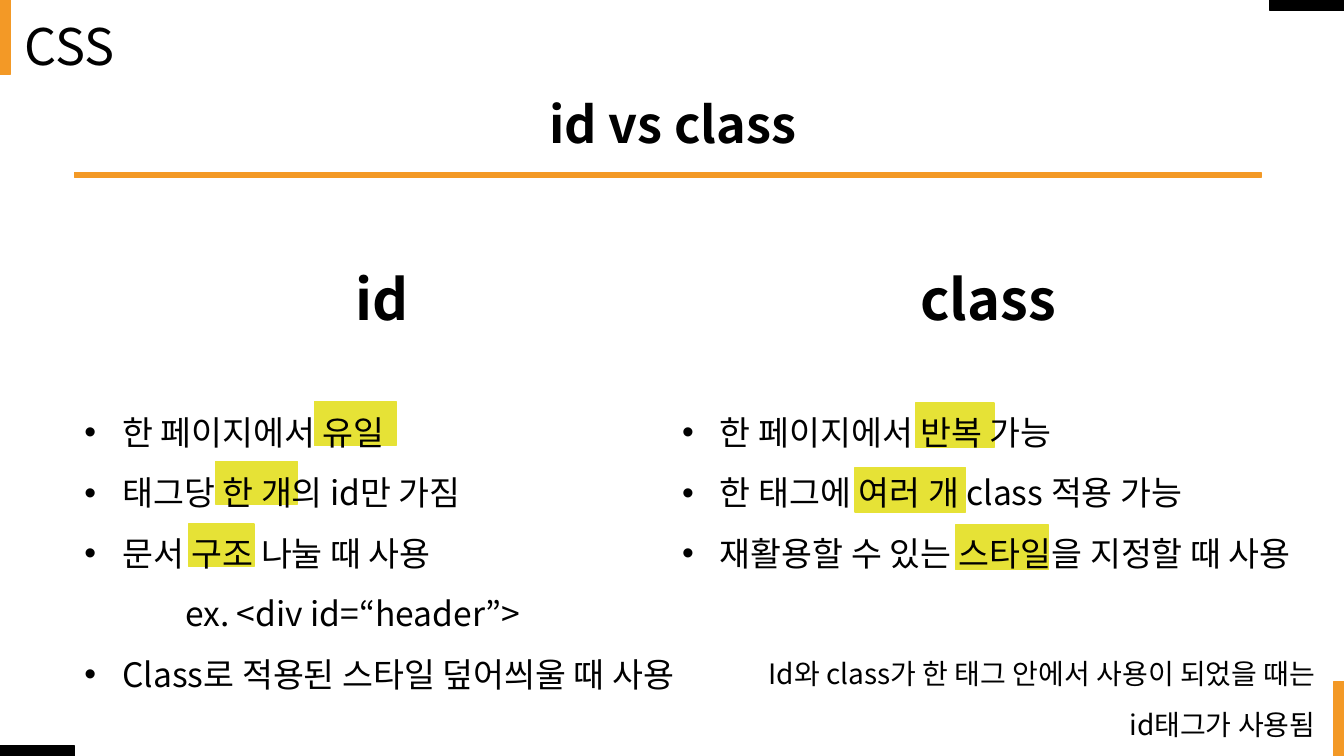
from dataclasses import dataclass

from lxml.etree import SubElement
from pptx import Presentation
from pptx.dml.color import RGBColor
from pptx.enum.shapes import MSO_SHAPE
from pptx.enum.text import MSO_ANCHOR, MSO_AUTO_SIZE, PP_ALIGN
from pptx.oxml.ns import qn
from pptx.util import Pt


@dataclass(frozen=True)
class Theme:
    font: str = "Noto Sans CJK KR"
    text: RGBColor = RGBColor(0, 0, 0)
    accent: RGBColor = RGBColor(0xF3, 0x99, 0x26)
    highlight: RGBColor = RGBColor(0xE6, 0xE2, 0x36)
    title_size: int = 36
    heading_size: int = 40
    body_size: int = 24
    note_size: int = 20
    line_spacing: float = 1.5
    heading_gap: int = 43
    bullet_indent: float = 27
    example_indent: float = 72


class SlideBuilder:
    def __init__(self, presentation, theme):
        self.theme = theme
        self.slide = presentation.slides.add_slide(presentation.slide_layouts[5])

    def block(self, left, top, width, height, color):
        shape = self.slide.shapes.add_shape(
            MSO_SHAPE.RECTANGLE, Pt(left), Pt(top), Pt(width), Pt(height))
        shape.shadow.inherit = False
        shape.fill.solid()
        shape.fill.fore_color.rgb = color
        shape.line.color.rgb = color
        shape.line.width = Pt(1)

    def frame(self, shape):
        text_frame = shape.text_frame
        text_frame.word_wrap = True
        text_frame.auto_size = MSO_AUTO_SIZE.NONE
        text_frame.vertical_anchor = MSO_ANCHOR.TOP
        return text_frame

    def text_box(self, left, top, width, height):
        return self.frame(self.slide.shapes.add_textbox(
            Pt(left), Pt(top), Pt(width), Pt(height)))

    def title(self, text, left, top, width, height):
        shape = self.slide.shapes.title
        shape.left, shape.top = Pt(left), Pt(top)
        shape.width, shape.height = Pt(width), Pt(height)
        self.add_text(self.frame(shape).paragraphs[0], text,
                      self.theme.title_size, PP_ALIGN.CENTER, bold=True)

    def add_text(self, paragraph, text, size, align=PP_ALIGN.LEFT, bold=False, spacing=1.0):
        paragraph.alignment = align
        paragraph.line_spacing = spacing
        run = paragraph.add_run()
        run.text = text
        run.font.size = Pt(size)
        run.font.bold = bold
        run.font.color.rgb = self.theme.text
        run.font.name = self.theme.font
        SubElement(run.font._element, qn("a:ea"), typeface=self.theme.font)

    def indent(self, paragraph, margin, bullet):
        properties = paragraph._p.get_or_add_pPr()
        properties.set("marL", str(Pt(margin)))
        if bullet:
            properties.set("indent", str(-Pt(margin)))
            SubElement(properties, qn("a:buFont"), typeface="Arial")
            SubElement(properties, qn("a:buChar"), char="•")

    def column(self, heading, lines, left, top, width, height):
        theme = self.theme
        text_frame = self.text_box(left, top, width, height)
        paragraph = text_frame.paragraphs[0]
        self.add_text(paragraph, heading, theme.heading_size, PP_ALIGN.CENTER,
                      bold=True, spacing=theme.line_spacing)
        paragraph.space_after = Pt(theme.heading_gap)
        for text, bullet in lines:
            paragraph = text_frame.add_paragraph()
            self.add_text(paragraph, text, theme.body_size, spacing=theme.line_spacing)
            margin = theme.bullet_indent if bullet else theme.example_indent
            self.indent(paragraph, margin, bullet)

    def note(self, lines, left, top, width, height):
        text_frame = self.text_box(left, top, width, height)
        for index, text in enumerate(lines):
            paragraph = text_frame.add_paragraph() if index else text_frame.paragraphs[0]
            self.add_text(paragraph, text, self.theme.note_size, PP_ALIGN.RIGHT,
                          spacing=self.theme.line_spacing)


def main():
    presentation = Presentation()
    presentation.slide_width, presentation.slide_height = Pt(960), Pt(540)
    theme = Theme()
    builder = SlideBuilder(presentation, theme)

    # Highlights behind the key words
    for left, top, width, height in (
        (224.6, 286.6, 58.3, 31.7),
        (154.1, 329.8, 58.3, 30.2),
        (134.6, 374.4, 46.8, 30.2),
        (653.8, 288, 56.2, 31.7),
        (610.6, 334.1, 79.2, 31.7),
        (682.6, 375.1, 66.2, 31.7),
    ):
        builder.block(left, top, width, height, theme.highlight)

    # Corner bars
    long, thin = 53.3, 7.2
    right, bottom = 960, 540
    builder.block(0, 0, thin, long, theme.accent)
    builder.block(right - thin, bottom - long, thin, long, theme.accent)
    builder.block(0, bottom - thin, long, thin, theme.text)
    builder.block(right - long, 0, long, thin, theme.text)

    # Section label, title and rule
    label = builder.text_box(7.2, 7.2, 85, 51.1)
    builder.add_text(label.paragraphs[0], "CSS", theme.title_size, PP_ALIGN.CENTER)
    builder.title("id vs class", 212.4, 62.6, 536.4, 51.1)
    builder.block(53.3, 123.1, 847.4, 3.6, theme.accent)

    # Comparison columns
    builder.column("id", (
        ("한 페이지에서 유일", True),
        ("태그당 한 개의 id만 가짐", True),
        ("문서 구조 나눌 때 사용", True),
        ("ex. <div id=“header”>", False),
        ("Class로 적용된 스타일 덮어씌울 때 사용", True),
    ), 53.3, 161.3, 439.2, 337.7)
    builder.column("class", (
        ("한 페이지에서 반복 가능", True),
        ("한 태그에 여러 개 class 적용 가능", True),
        ("재활용할 수 있는 스타일을 지정할 때 사용", True),
    ), 480.2, 161.3, 451.4, 250.6)

    # Closing note
    builder.note((
        "Id와 class가 한 태그 안에서 사용이 되었을 때는",
        "id태그가 사용됨",
    ), 485.3, 453.6, 461.5, 76.3)

    presentation.save("out.pptx")


if __name__ == "__main__":
    main()
